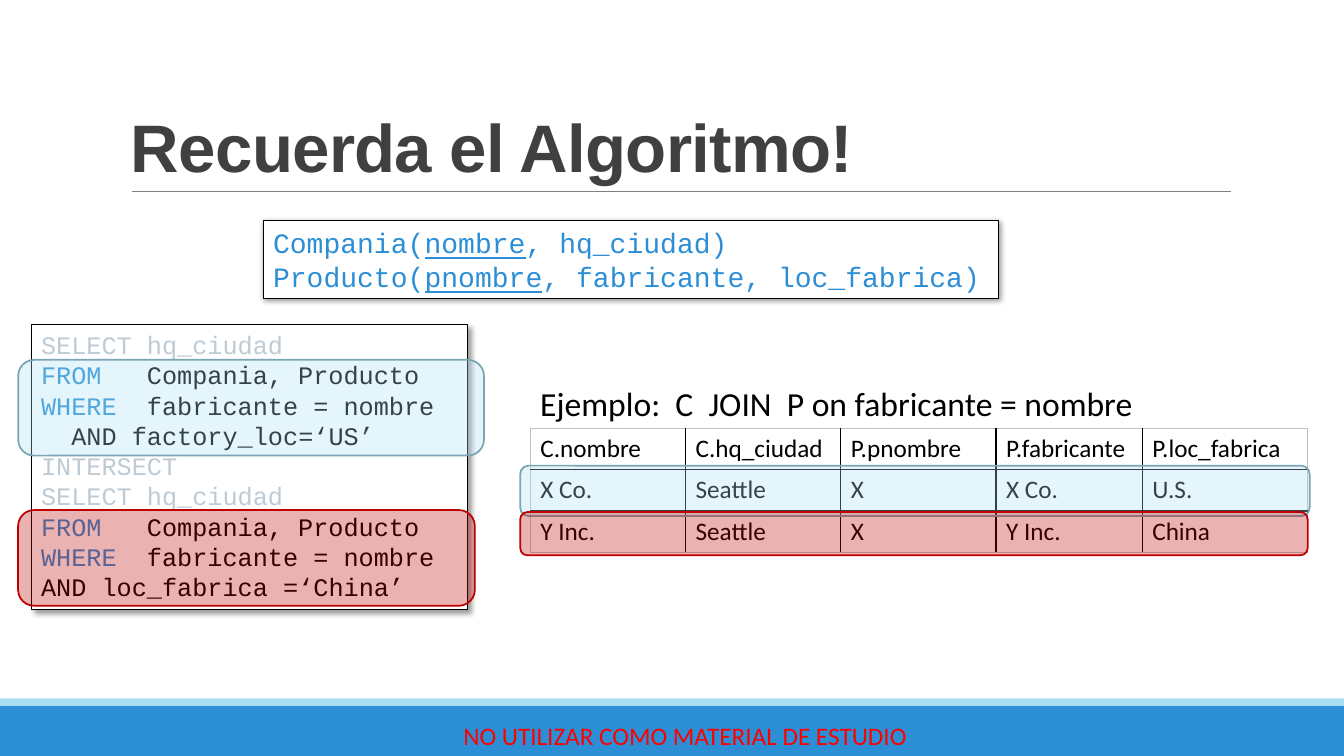
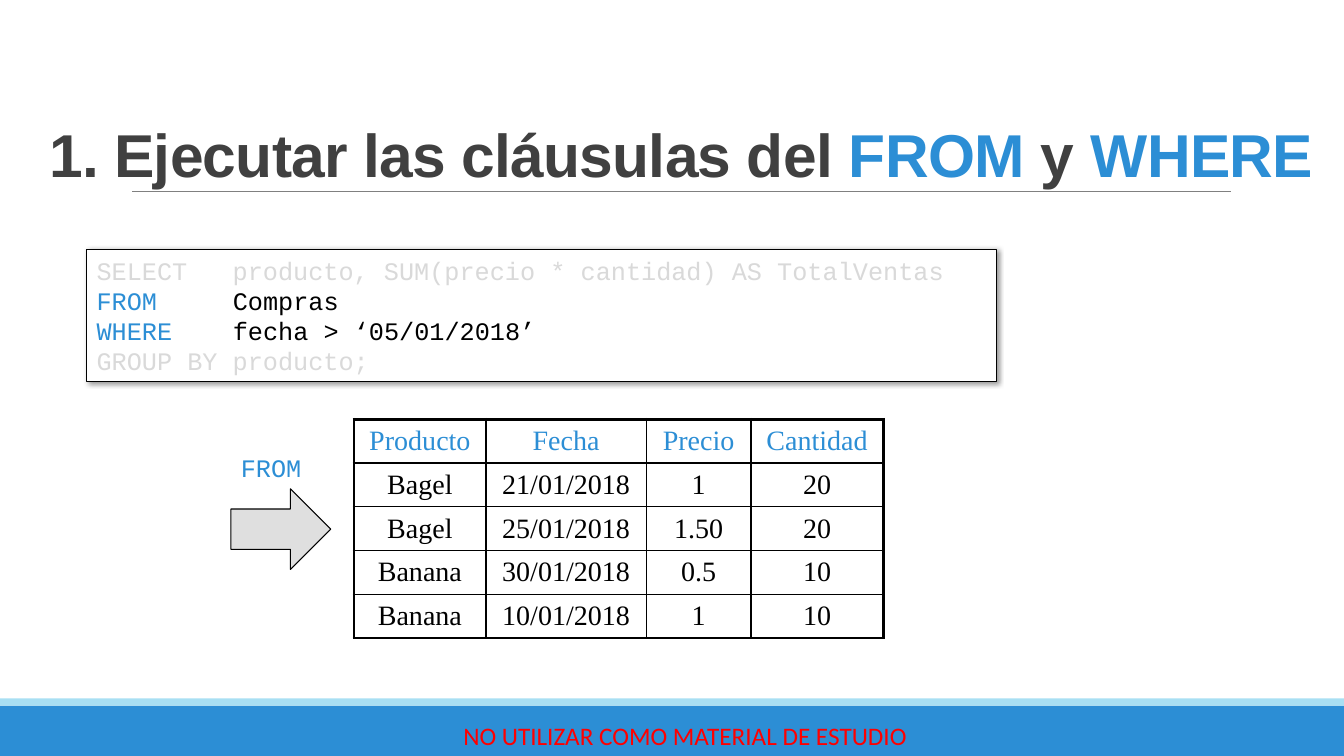
from pptx import Presentation
from pptx.dml.color import RGBColor
from pptx.enum.shapes import MSO_CONNECTOR, MSO_SHAPE
from pptx.enum.text import MSO_ANCHOR, PP_ALIGN
from pptx.oxml import parse_xml
from pptx.oxml.ns import nsdecls, qn
from pptx.util import Inches, Pt
from lxml.etree import SubElement

WIDE, HIGH = 13.33, 7.5
COLORS = {
    "blue": "2C8ED5", "sky": "A8DFF3", "teal": "7CA5B4", "red": "FF0000",
    "wine": "C00000", "dark": "404040", "gray": "808080", "mist": "BECAD4",
    "pale": "D9D9D9", "silver": "C0C0C0", "black": "000000", "white": "FFFFFF",
}
SANS, BODY, CODE, SERIF = "Arial", "Calibri", "Courier New", "Times New Roman"

# Content: a line is a list of runs (text, color, underlined if given)
FOOTER = "NO UTILIZAR COMO MATERIAL DE ESTUDIO"
TITLES = [
    [("Recuerda el Algoritmo!", "dark")],
    [("1. Ejecutar las cláusulas del ", "dark"), ("FROM", "blue"),
     (" y ", "dark"), ("WHERE", "blue")],
]
SCHEMA = [
    [("Compania(", "blue"), ("nombre", "blue", True), (", hq_ciudad)", "blue")],
    [("Producto(", "blue"), ("pnombre", "blue", True),
     (", fabricante, loc_fabrica)", "blue")],
]
SELECT = [("SELECT hq_ciudad", "mist")]
SOURCE = [
    [("FROM   ", "blue"), ("Compania, Producto", "black")],
    [("WHERE  ", "blue"), ("fabricante = nombre", "black")],
]
QUERY = [
    SELECT, *SOURCE, [("  AND factory_loc=‘US’", "black")],
    [("INTERSECT", "mist")],
    SELECT, *SOURCE, [("AND loc_fabrica =‘China’", "black")],
]
JOIN = [[("Ejemplo:  C  JOIN  P on fabricante = nombre", "black")]]
JOINED = [
    ["C.nombre", "C.hq_ciudad", "P.pnombre", "P.fabricante", "P.loc_fabrica"],
    ["X Co.", "Seattle", "X", "X Co.", "U.S."],
    ["Y Inc.", "Seattle", "X", "Y Inc.", "China"],
]
MARKS = [  # left, top, width, height, fill, line
    (0.18, 3.57, 4.62, 0.95, "sky", "teal"),
    (0.18, 5.06, 4.53, 0.95, "wine", "wine"),
    (5.16, 4.62, 7.83, 0.5, "sky", "teal"),
    (5.16, 5.08, 7.81, 0.43, "wine", "wine"),
]
TOTALS = [
    [("SELECT   producto, SUM(precio * cantidad) AS TotalVentas", "pale")],
    [("FROM     ", "blue"), ("Compras", "black")],
    [("WHERE    ", "blue"), ("fecha > ‘05/01/2018’", "black")],
    [("GROUP BY producto;", "pale")],
]
SALES = [
    ["Producto", "Fecha", "Precio", "Cantidad"],
    ["Bagel", "21/01/2018", "1", "20"],
    ["Bagel", "25/01/2018", "1.50", "20"],
    ["Banana", "30/01/2018", "0.5", "10"],
    ["Banana", "10/01/2018", "1", "10"],
]


def rgb(name):
    return RGBColor.from_string(COLORS[name])


def place(*box):
    return [Inches(n) for n in box]


def write(frame, lines, size, font, align=PP_ALIGN.LEFT, bold=False):
    for i, line in enumerate(lines):
        para = frame.paragraphs[0] if i == 0 else frame.add_paragraph()
        para.alignment = align
        for text, color, *under in line:
            run = para.add_run()
            run.text = text
            run.font.size, run.font.name = Pt(size), font
            run.font.bold, run.font.underline = bold, bool(under)
            run.font.color.rgb = rgb(color)


def add_text(slide, box, lines, size, font, anchor=MSO_ANCHOR.TOP, **style):
    frame = slide.shapes.add_textbox(*place(*box)).text_frame
    frame.word_wrap, frame.vertical_anchor = True, anchor
    write(frame, lines, size, font, **style)
    return frame


def add_block(slide, kind, box, fill, line=None, weight=0.75, alpha=None):
    shape = slide.shapes.add_shape(kind, *place(*box))
    shape.shadow.inherit = False
    shape.fill.solid()
    shape.fill.fore_color.rgb = rgb(fill)
    if alpha:
        tint = shape.fill._xPr.find(qn("a:solidFill"))[0]
        SubElement(tint, qn("a:alpha"), val=str(alpha * 1000))
    if line:
        shape.line.color.rgb, shape.line.width = rgb(line), Pt(weight)
    else:
        shape.line.fill.background()
    return shape


def add_code(slide, box, lines, size, drop=1):
    shape = add_block(slide, MSO_SHAPE.RECTANGLE, box, "white", "black")
    effect = shape._element.spPr.find(qn("a:effectLst"))
    effect.append(parse_xml(
        f'<a:outerShdw {nsdecls("a")} blurRad="{Pt(4)}" dist="{Pt(drop)}" '
        'dir="2700000" algn="tl" rotWithShape="0">'
        '<a:srgbClr val="000000"><a:alpha val="40000"/></a:srgbClr>'
        '</a:outerShdw>'))
    frame = shape.text_frame
    frame.word_wrap, frame.vertical_anchor = True, MSO_ANCHOR.TOP
    write(frame, lines, size, CODE)


def add_grid(slide, spot, rows, widths, height, size, font, rim,
             head="black", align=PP_ALIGN.LEFT):
    """Draw a table; rim is (color, weight) of its outer edge."""
    box = (*spot, sum(widths), height * len(rows))
    table = slide.shapes.add_table(len(rows), len(widths), *place(*box)).table
    table.first_row = table.horz_banding = False
    for col, width in zip(table.columns, widths):
        col.width = Inches(width)
    for r, row in enumerate(rows):
        table.rows[r].height = Inches(height)
        for c, text in enumerate(row):
            cell = table.cell(r, c)
            cell.vertical_anchor = MSO_ANCHOR.MIDDLE
            outer = {"L": c == 0, "R": c == len(row) - 1,
                     "T": r == 0, "B": r == len(rows) - 1}
            for side, edge in outer.items():
                color, weight = rim if edge else ("black", 1)
                line = SubElement(cell._tc.get_or_add_tcPr(),
                                  qn("a:ln" + side), w=str(Pt(weight)))
                fill = SubElement(line, qn("a:solidFill"))
                SubElement(fill, qn("a:srgbClr"), val=COLORS[color])
            cell.fill.background()
            ink = "black" if r else head
            write(cell.text_frame, [[(text, ink)]], size, font, align)


def add_base(deck, title, box, size):
    """Start a slide with its bands, rule, footer and title."""
    slide = deck.slides.add_slide(deck.slide_layouts[6])
    for top, height, color in ((7, 0.5, "blue"), (6.93, 0.07, "sky")):
        add_block(slide, MSO_SHAPE.RECTANGLE, (0, top, WIDE, height), color)
    rule = slide.shapes.add_connector(
        MSO_CONNECTOR.STRAIGHT, *place(1.31, 1.9, 12.21, 1.9))
    rule.line.color.rgb, rule.line.width = rgb("gray"), Pt(0.5)
    SubElement(rule._element.spPr, qn("a:effectLst"))
    add_text(slide, (4.16, 7.1, 5.27, 0.4), [[(FOOTER, "red")]], 18, BODY,
             MSO_ANCHOR.MIDDLE, align=PP_ALIGN.CENTER)
    frame = add_text(slide, box, [title], size, SANS, MSO_ANCHOR.BOTTOM,
                     bold=True)
    para = frame.paragraphs[0]
    para.line_spacing = 0.85
    for run in para.runs:
        run.font._element.set("spc", "-50")
    return slide


def main():
    deck = Presentation()
    deck.slide_width, deck.slide_height = place(WIDE, HIGH)

    # Slide 1: the query beside the joined rows
    slide = add_base(deck, TITLES[0], (1.2, 0.31, 11, 1.59), 48)
    add_code(slide, (0.31, 3.22, 4.33, 2.83), QUERY, 18, drop=3)
    add_text(slide, (5.26, 3.75, 6.2, 0.5), JOIN, 24, BODY)
    add_grid(slide, (5.26, 4.25), JOINED, [1.54, 1.54, 1.54, 1.45, 1.64],
             0.41, 18, BODY, ("silver", 0.5))
    for *box, fill, line in MARKS:
        add_block(slide, MSO_SHAPE.ROUNDED_RECTANGLE, box, fill, line, 1.25, 30)
    add_code(slide, (2.61, 2.19, 7.29, 0.77), SCHEMA, 20)

    # Slide 2: the rows that FROM yields
    slide = add_base(deck, TITLES[1], (0.39, 0.68, 12.8, 1.25), 43.2)
    add_grid(slide, (3.51, 4.16), SALES, [1.31, 1.59, 1.04, 1.31],
             0.42, 20, SERIF, ("black", 2.25), "blue", PP_ALIGN.CENTER)
    add_block(slide, MSO_SHAPE.RIGHT_ARROW, (2.29, 4.85, 0.99, 0.8),
              "silver", "black", alpha=50)
    add_code(slide, (0.86, 2.48, 9.02, 1.31), TOTALS, 18)
    add_text(slide, (2.29, 4.44, 0.9, 0.4), [[("FROM", "blue")]], 18, CODE)

    deck.save("out.pptx")


if __name__ == "__main__":
    main()
